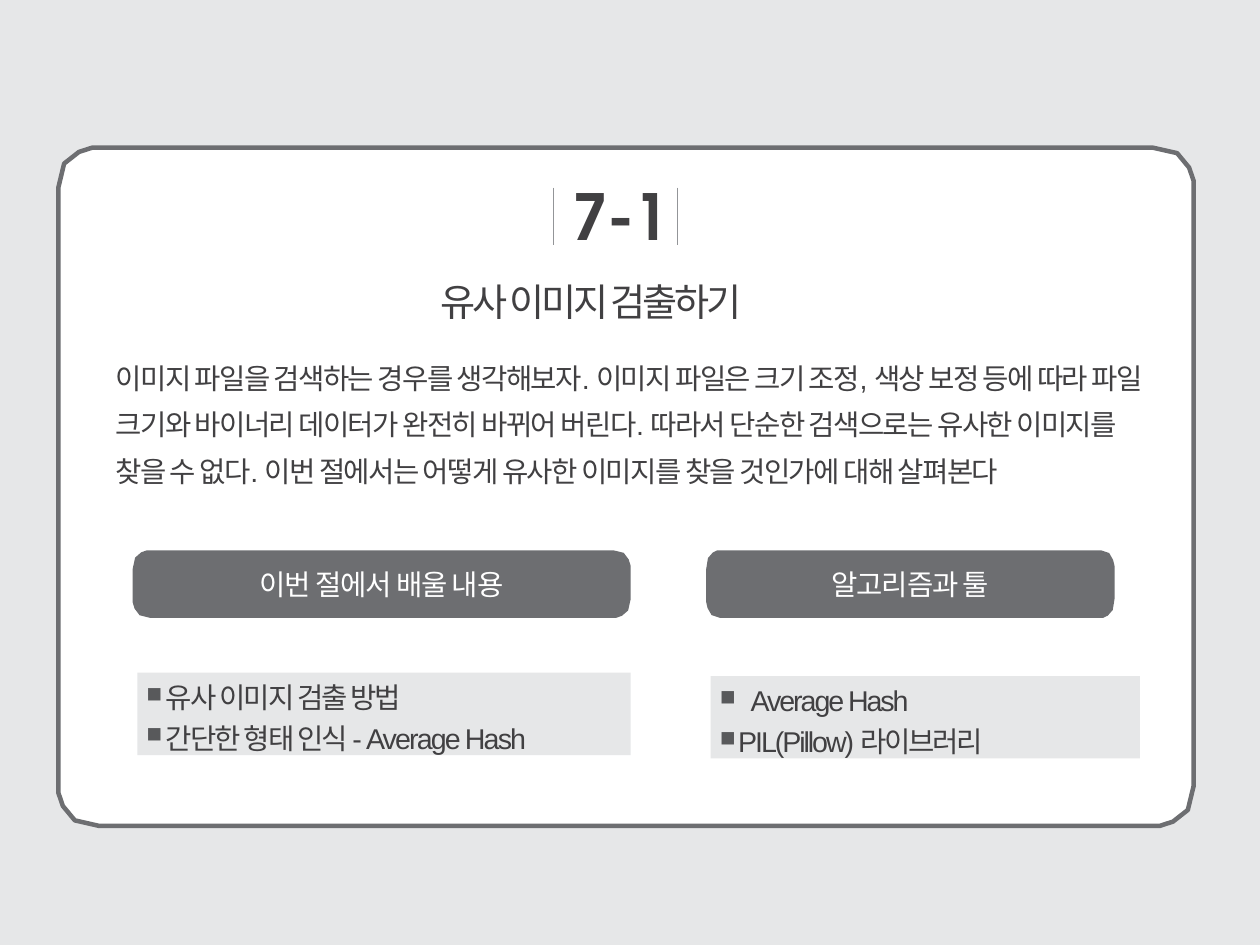
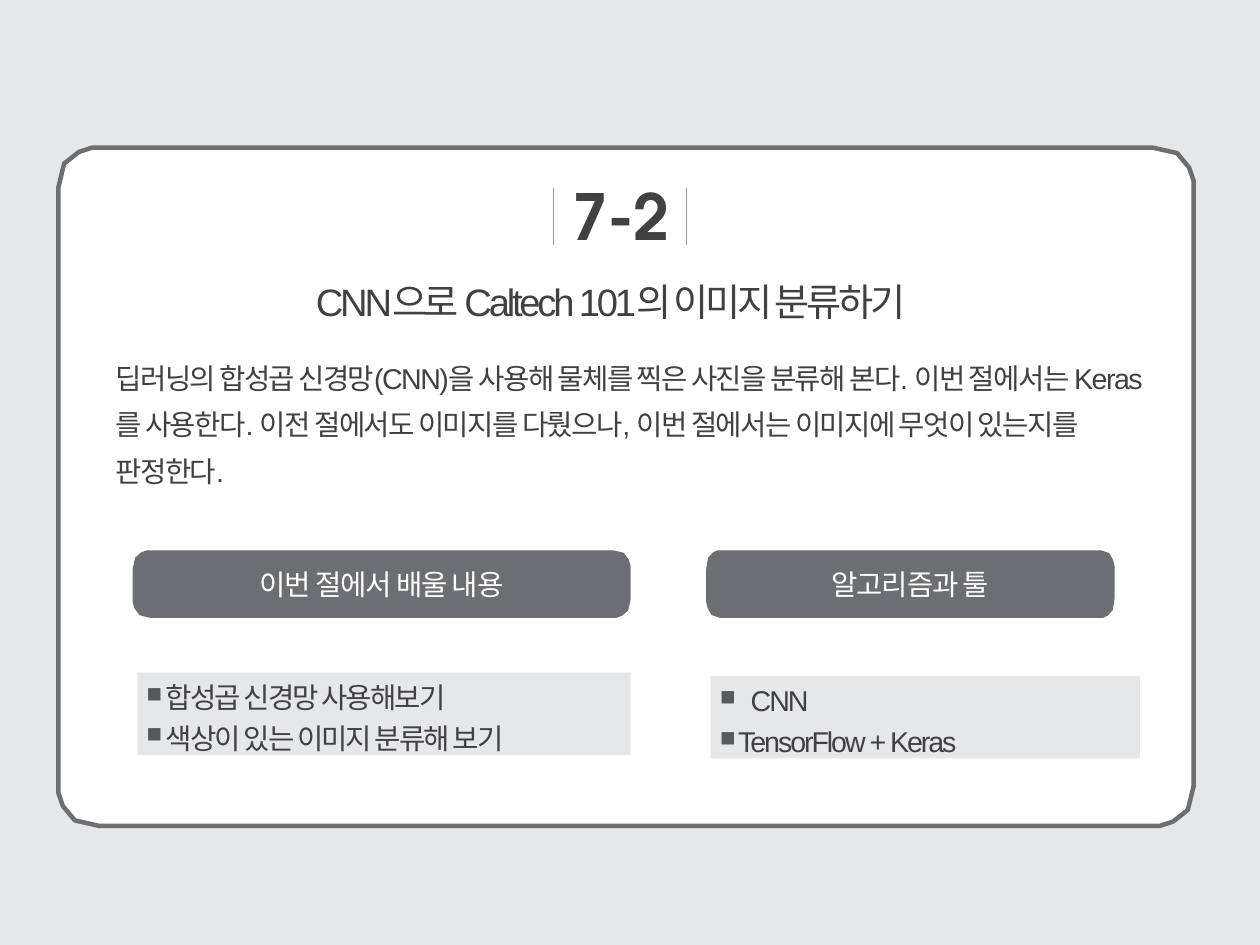
import lxml.etree
import pptx
import pptx.dml.color
import pptx.enum.shapes
import pptx.enum.text
import pptx.oxml.ns
import pptx.util

Inches = pptx.util.Inches
RGBColor = pptx.dml.color.RGBColor
Align = pptx.enum.text.PP_ALIGN
Anchor = pptx.enum.text.MSO_ANCHOR

BACKDROP = RGBColor(0xE6, 0xE7, 0xE8)
WHITE = RGBColor(0xFF, 0xFF, 0xFF)
GREY = RGBColor(0x6D, 0x6E, 0x71)
RULE = RGBColor(0x93, 0x95, 0x98)
INK = RGBColor(0x41, 0x40, 0x42)
BULLET = RGBColor(0x58, 0x59, 0x5B)

TEXT_FONT = "Arial"
TAG_FONT = "Noto Sans Mono"
NUMBER_FONT = "TeX Gyre Adventor"

SLIDE_SIZE = (11.01, 8.26)
CARD = (0.51, 1.29, 9.92, 5.93)
CARD_CORNER = (0.36, 0.35)
NUMBER = (5.0, 1.55, 1.04, 0.67)
BODY = (1.01, 3.05, 9.07, 1.23)
RULE_TOP, RULE_BOTTOM, RULE_LEFT = 1.64, 2.14, 4.84
BULLET_LEFT = 0.08
CORNER_SHARES = [(1, 0), (0.83, 0), (0.5, 0.11), (0.14, 0.4), (0, 1)]

COLUMNS = [
    {"tag": "이번 절에서 배울 내용", "tag_at": (1.16, 4.81, 4.35, 0.59),
     "corner": (0.15, 0.16), "list_at": (1.2, 5.88, 4.31, 0.72),
     "indents": (0.25, 0.25), "spacing": -1.2},
    {"tag": "알고리즘과 툴", "tag_at": (6.17, 4.81, 3.57, 0.59),
     "corner": (0.12, 0.17), "list_at": (6.21, 5.91, 3.75, 0.72),
     "indents": (0.35, 0.24), "spacing": -1.3},
]

SECTIONS = [
    {"number": "7-1", "rule_right": 5.92,
     "title": "유사 이미지 검출하기", "title_at": (3.85, 2.43, 3, 0.4),
     "body": "이미지 파일을 검색하는 경우를 생각해보자. 이미지 파일은 크기 조정, "
             "색상 보정 등에 따라 파일 크기와 바이너리 데이터가 완전히 바뀌어 버린다. "
             "따라서 단순한 검색으로는 유사한 이미지를 찾을 수 없다. 이번 절에서는 "
             "어떻게 유사한 이미지를 찾을 것인가에 대해 살펴본다",
     "lists": [["유사 이미지 검출 방법", "간단한 형태 인식 - Average Hash"],
               ["Average Hash", "PIL(Pillow) 라이브러리"]]},
    {"number": "7-2", "rule_right": 6.0,
     "title": "CNN으로 Caltech 101의 이미지 분류하기", "title_at": (2.76, 2.43, 5.67, 0.4),
     "body": "딥러닝의 합성곱 신경망(CNN)을 사용해 물체를 찍은 사진을 분류해 본다. "
             "이번 절에서는 Keras를 사용한다. 이전 절에서도 이미지를 다뤘으나, "
             "이번 절에서는 이미지에 무엇이 있는지를 판정한다.",
     "lists": [["합성곱 신경망 사용해보기", "색상이 있는 이미지 분류해 보기"],
               ["CNN", "TensorFlow + Keras"]]},
]


def inches(values):
    return [Inches(value) for value in values]


def add_bullet(paragraph, indent):
    properties = paragraph._p.get_or_add_pPr()
    properties.set("marL", str(Inches(indent)))
    properties.set("indent", str(Inches(BULLET_LEFT - indent)))
    qn = pptx.oxml.ns.qn
    colour = lxml.etree.SubElement(properties, qn("a:buClr"))
    lxml.etree.SubElement(colour, qn("a:srgbClr"), val=str(BULLET))
    lxml.etree.SubElement(properties, qn("a:buSzPct"), val="75000")
    lxml.etree.SubElement(properties, qn("a:buChar"), char="■")


def write(box, lines, size=18, font=TEXT_FONT, colour=INK, bold=False, spacing=0,
          align=Align.LEFT, anchor=Anchor.TOP, top=0, leading=None, indents=None,
          grow=True):
    frame = box.text_frame
    frame.word_wrap = True
    frame.vertical_anchor = anchor
    frame.margin_left = frame.margin_right = frame.margin_bottom = 0
    frame.margin_top = Inches(top)
    if grow:
        frame.auto_size = pptx.enum.text.MSO_AUTO_SIZE.SHAPE_TO_FIT_TEXT
    for index, line in enumerate(lines):
        paragraph = frame.add_paragraph() if index else frame.paragraphs[0]
        if indents:
            add_bullet(paragraph, indents[index])
        paragraph.alignment = align
        if index:
            paragraph.space_before = pptx.util.Pt(4)
        if leading:
            paragraph.line_spacing = leading
        span = paragraph.add_run()
        span.text = line
        span.font.size = pptx.util.Pt(size)
        span.font.name = font
        span.font.bold = bold
        span.font.color.rgb = colour
        span._r.get_or_add_rPr().set("spc", str(round(spacing * 100)))


def paint(shape, fill, line=None):
    shape.shadow.inherit = False
    shape.fill.solid()
    shape.fill.fore_color.rgb = fill
    if line:
        shape.line.color.rgb = line
        shape.line.width = pptx.util.Pt(2.83)
    else:
        shape.line.fill.background()


def add_cut_box(page, place, corner, fill, line=None):
    left, top, width, height = place
    right, bottom = left + width, top + height
    swapped = [(y, x) for x, y in CORNER_SHARES]
    corners = [(left, 1, top, 1, CORNER_SHARES), (left, 1, bottom, -1, swapped),
               (right, -1, bottom, -1, CORNER_SHARES), (right, -1, top, 1, swapped)]
    points = [inches((x + side * share_x * corner[0], y + turn * share_y * corner[1]))
              for x, side, y, turn, shares in corners for share_x, share_y in shares]
    builder = page.shapes.build_freeform(*points[0])
    builder.add_line_segments(points[1:], close=True)
    shape = builder.convert_to_shape()
    paint(shape, fill, line)
    return shape


def add_rule(page, x):
    rule = page.shapes.add_connector(
        pptx.enum.shapes.MSO_CONNECTOR.STRAIGHT,
        *inches((x, RULE_TOP, x, RULE_BOTTOM)))
    rule.line.color.rgb = RULE
    rule.line.width = pptx.util.Pt(0.5)
    lxml.etree.SubElement(rule._element.spPr, pptx.oxml.ns.qn("a:effectLst"))


def add_title(page, text, place):
    title = page.shapes.title
    title.element.getparent().append(title.element)
    title.left, title.top, title.width, title.height = inches(place)
    write(title, [text], size=24, spacing=-2)


def add_column(page, column, items):
    tag = add_cut_box(page, column["tag_at"], column["corner"], GREY)
    write(tag, [column["tag"]], font=TAG_FONT, colour=WHITE, spacing=-0.7,
          align=Align.CENTER, anchor=Anchor.MIDDLE, grow=False)
    panel = page.shapes.add_shape(
        pptx.enum.shapes.MSO_SHAPE.RECTANGLE, *inches(column["list_at"]))
    paint(panel, BACKDROP)
    write(panel, items, spacing=column["spacing"], anchor=Anchor.MIDDLE, top=0.06,
          indents=column["indents"])


def add_section(deck, section):
    page = deck.slides.add_slide(deck.slide_layouts[5])
    page.background.fill.solid()
    page.background.fill.fore_color.rgb = BACKDROP
    add_cut_box(page, CARD, CARD_CORNER, WHITE, GREY)
    for x in (RULE_LEFT, section["rule_right"]):
        add_rule(page, x)
    number = page.shapes.add_textbox(*inches(NUMBER))
    write(number, [section["number"]], size=40, font=NUMBER_FONT, bold=True, spacing=-0.4)
    add_title(page, section["title"], section["title_at"])
    body = page.shapes.add_textbox(*inches(BODY))
    write(body, [section["body"]], spacing=-1, leading=1.35)
    for column, items in zip(COLUMNS, section["lists"]):
        add_column(page, column, items)


def main():
    deck = pptx.Presentation()
    deck.slide_width, deck.slide_height = inches(SLIDE_SIZE)
    for section in SECTIONS:
        add_section(deck, section)
    deck.save("out.pptx")


if __name__ == "__main__":
    main()
